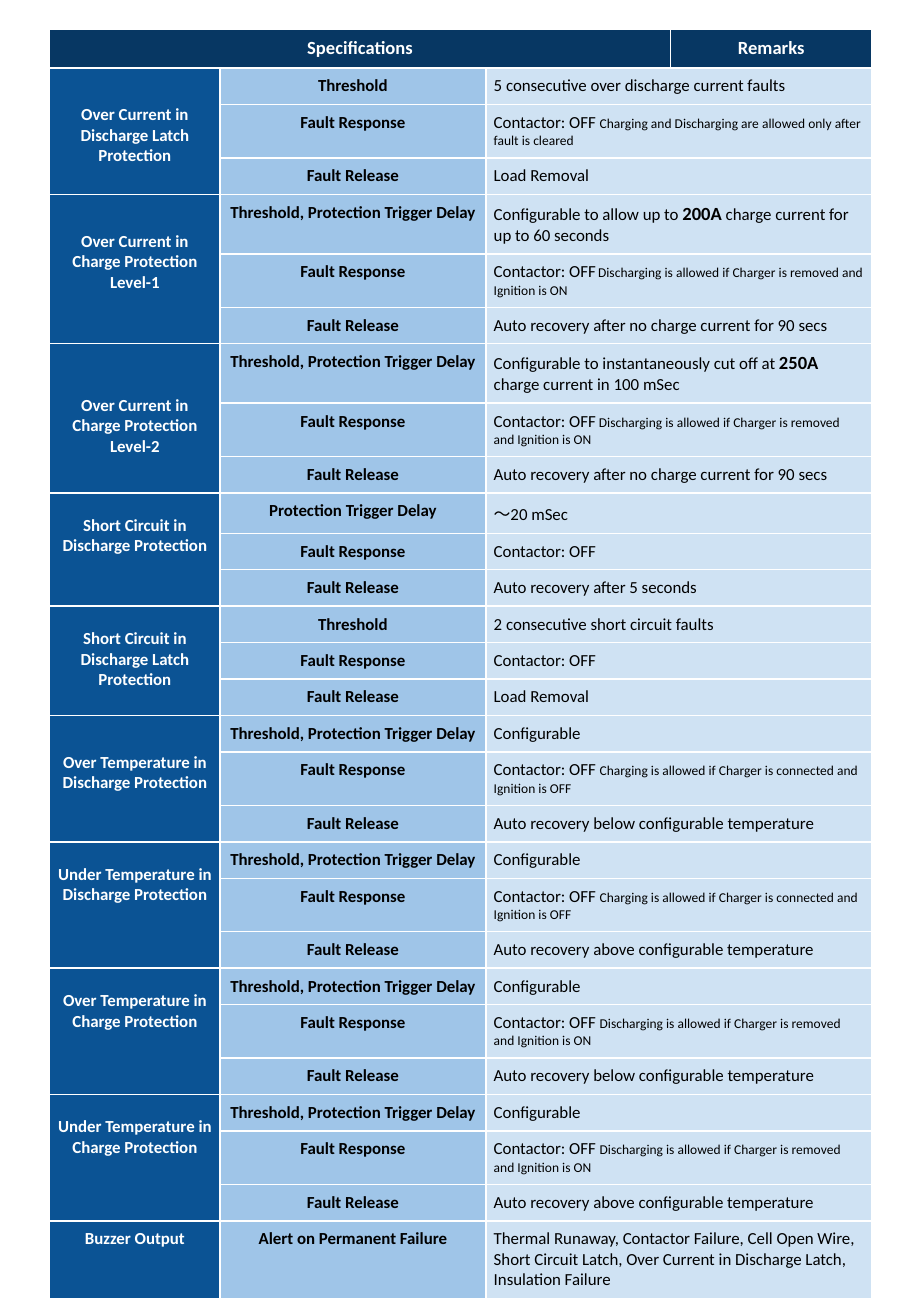
from lxml import etree
from pptx import Presentation
from pptx.dml.color import RGBColor
from pptx.enum.text import PP_ALIGN
from pptx.oxml.ns import qn
from pptx.util import Inches, Pt

CENTER, LEFT = PP_ALIGN.CENTER, PP_ALIGN.LEFT
NAVY, BLUE, SKY, PALE = "073763", "0B5394", "9FC5E8", "CFE2F3"
WHITE, BLACK = "FFFFFF", "000000"
MARGIN = 0.065
LINE_STEP = 0.12
SINGLE, DETAIL, DOUBLE, TRIPLE = 0.3, 0.44, 0.49, 0.64

DELAY = "Threshold, Protection Trigger Delay"
OFF = [("Contactor: OFF", 10, False)]
CONFIGURABLE = [("Configurable", 10, False)]
CHARGER_REMOVED = "Discharging is allowed if Charger is removed and Ignition is ON"
CHARGER_CONNECTED = "Charging is allowed if Charger is connected and Ignition is OFF"


def off_with(note, gap_size=10):
    """Remark for an open contactor followed by a small note."""
    return OFF + [(" ", gap_size, False), (note, 8, False)]


def fill_cell(cell, runs, fill, color, align, top=MARGIN):
    """Fill a cell with (text, size, bold) runs and draw its white borders."""
    cell.fill.solid()
    cell.fill.fore_color.rgb = RGBColor.from_string(fill)
    cell.margin_left = cell.margin_right = cell.margin_bottom = Inches(MARGIN)
    cell.margin_top = Inches(top)
    paragraph = cell.text_frame.paragraphs[0]
    paragraph.alignment = align
    for text, size, bold in runs:
        run = paragraph.add_run()
        run.text = text
        run.font.name = "Calibri"
        run.font.size = Pt(size)
        run.font.bold = bold
        run.font.color.rgb = RGBColor.from_string(color)
    properties = cell._tc.get_or_add_tcPr()
    for index, side in enumerate(("a:lnL", "a:lnR", "a:lnT", "a:lnB")):
        border = etree.Element(qn(side), w=str(Pt(1)))
        solid = etree.SubElement(border, qn("a:solidFill"))
        etree.SubElement(solid, qn("a:srgbClr"), val=WHITE)
        properties.insert(index, border)


# Each protection: name, lines of space above it, threshold label,
# threshold remark, fault response remark, fault release remark
protections = [
    ("Over Current in Discharge Latch Protection", 2, "Threshold",
     [("5 consecutive over discharge current faults", 10, False)],
     off_with("Charging and Discharging are allowed only after fault is cleared"),
     "Load Removal"),
    ("Over Current in Charge Protection Level-1", 2, DELAY,
     [("Configurable to allow up to ", 10, False), ("200A", 11, True),
      (" charge current for up to 60 seconds", 10, False)],
     off_with(CHARGER_REMOVED, 6),
     "Auto recovery after no charge current for 90 secs"),
    ("Over Current in Charge Protection Level-2", 3, DELAY,
     [("Configurable to instantaneously cut off at ", 10, False), ("250A", 11, True),
      (" charge current in 100 mSec", 10, False)],
     off_with(CHARGER_REMOVED, 8),
     "Auto recovery after no charge current for 90 secs"),
    ("Short Circuit in Discharge Protection", 1, "Protection Trigger Delay",
     [("～20 mSec", 10, False)], OFF, "Auto recovery after 5 seconds"),
    ("Short Circuit in Discharge Latch Protection", 1, "Threshold",
     [("2 consecutive short circuit faults", 10, False)], OFF, "Load Removal"),
    ("Over Temperature in Discharge Protection", 2, DELAY, CONFIGURABLE,
     off_with(CHARGER_CONNECTED), "Auto recovery below configurable temperature"),
    ("Under Temperature in Discharge Protection", 1, DELAY, CONFIGURABLE,
     off_with(CHARGER_CONNECTED), "Auto recovery above configurable temperature"),
    ("Over Temperature in Charge Protection", 1, DELAY, CONFIGURABLE,
     off_with(CHARGER_REMOVED), "Auto recovery below configurable temperature"),
    ("Under Temperature in Charge Protection", 1, DELAY, CONFIGURABLE,
     off_with(CHARGER_REMOVED), "Auto recovery above configurable temperature"),
]

groups = []
for name, lead, label, threshold, response, release in protections:
    groups.append((name, lead, [
        (label, threshold, DOUBLE if len(threshold) > 1 else SINGLE),
        ("Fault Response", response, DETAIL if len(response) > 1 else SINGLE),
        ("Fault Release", [(release, 10, False)], SINGLE),
    ]))
groups.append(("Buzzer Output", 0, [
    ("Alert on Permanent Failure",
     [("Thermal Runaway, Contactor Failure, Cell Open Wire, Short Circuit Latch, "
       "Over Current in Discharge Latch, Insulation Failure", 10, False)], TRIPLE),
]))

prs = Presentation()
prs.slide_width, prs.slide_height = Inches(7.5), Inches(10.83)
slide = prs.slides.add_slide(prs.slide_layouts[6])

row_count = 1 + sum(len(rows) for _, _, rows in groups)
specifications = slide.shapes.add_table(
    row_count, 4, Inches(0.41), Inches(0.24), Inches(6.77), Inches(10.41)).table
specifications.first_row = False
specifications.horz_banding = False
for column, width in zip(specifications.columns, (1.4, 2.19, 1.52, 1.66)):
    column.width = Inches(width)

specifications.rows[0].height = Inches(0.31)
for column, heading in enumerate(("Specifications", "", "", "Remarks")):
    runs = [(heading, 11, True)] if heading else []
    fill_cell(specifications.cell(0, column), runs, NAVY, WHITE, CENTER)
specifications.cell(0, 0).merge(specifications.cell(0, 2))

row = 1
for name, lead, lines in groups:
    first = row
    for label, remark, height in lines:
        specifications.rows[row].height = Inches(height)
        title = [(name, 10, True)] if row == first else []
        top = MARGIN + lead * LINE_STEP if row == first else MARGIN
        fill_cell(specifications.cell(row, 0), title, BLUE, WHITE, CENTER, top)
        fill_cell(specifications.cell(row, 1), [(label, 10, True)], SKY, BLACK, CENTER)
        fill_cell(specifications.cell(row, 2), remark, PALE, BLACK, LEFT)
        fill_cell(specifications.cell(row, 3), [], PALE, BLACK, LEFT)
        specifications.cell(row, 2).merge(specifications.cell(row, 3))
        row += 1
    if len(lines) > 1:
        specifications.cell(first, 0).merge(specifications.cell(row - 1, 0))

prs.save("out.pptx")
